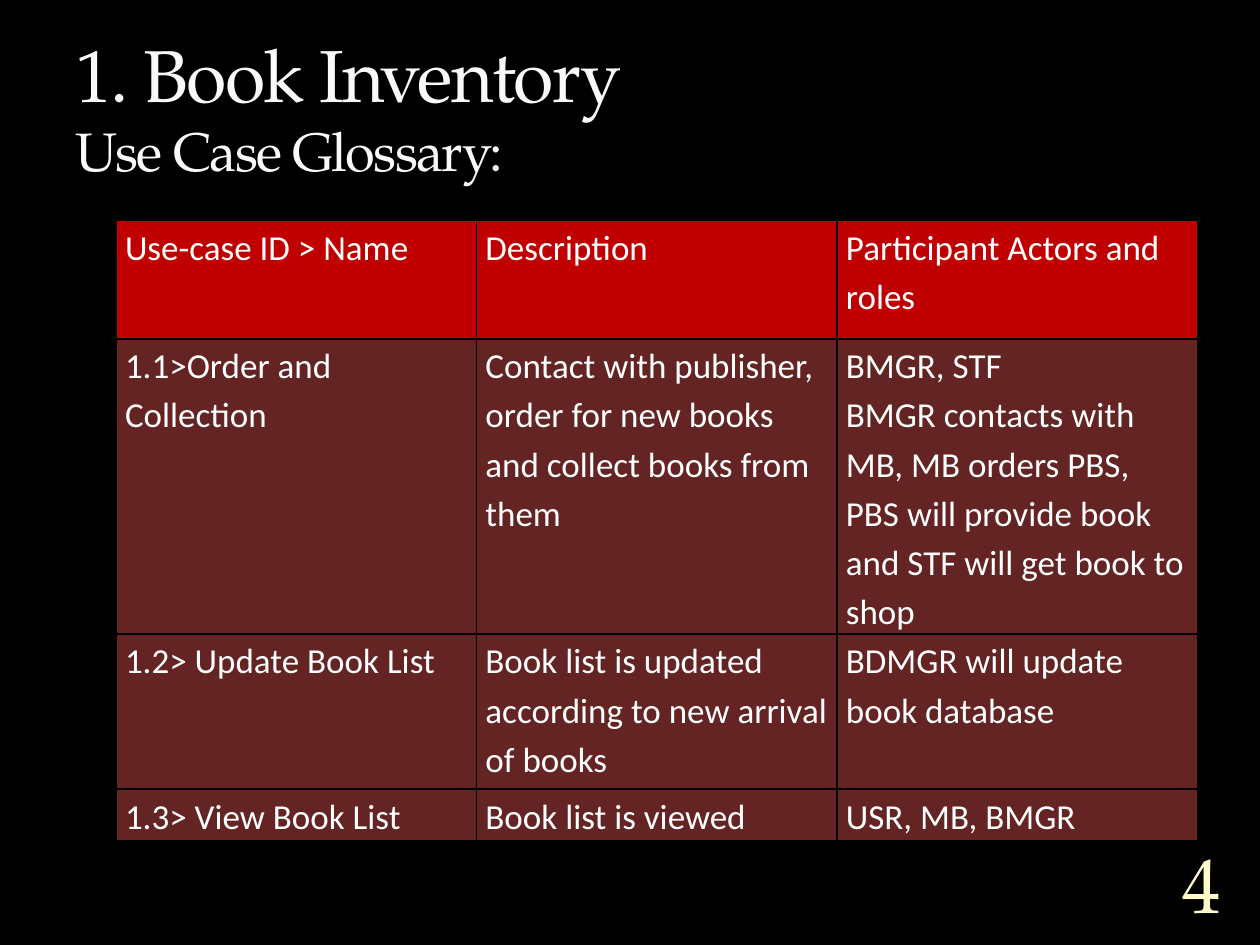
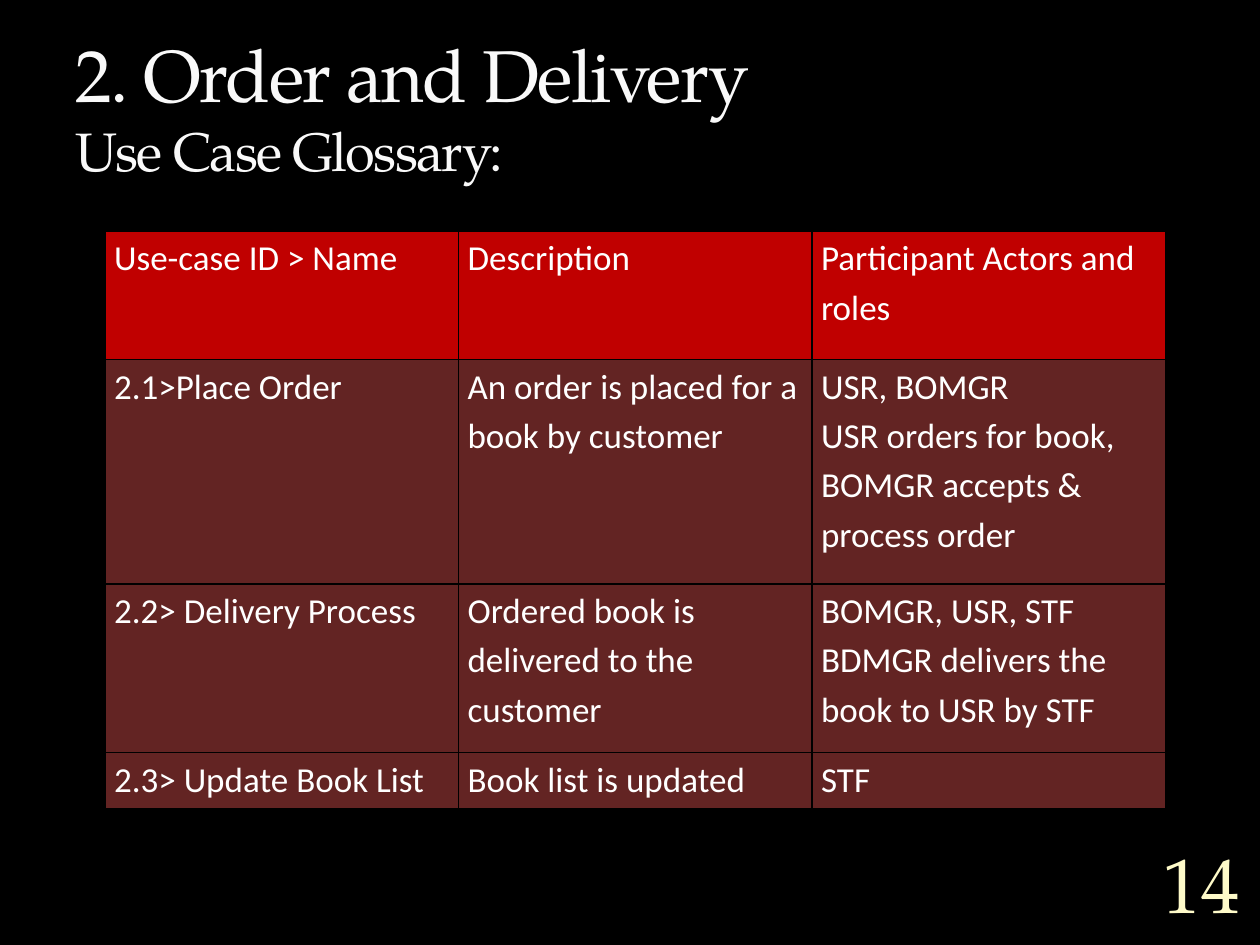
import pptx
import pptx.dml.color
import pptx.enum.text
import pptx.oxml.ns
import pptx.util
from lxml import etree

Cm = pptx.util.Cm
Pt = pptx.util.Pt
ALIGN = pptx.enum.text.PP_ALIGN
ANCHOR = pptx.enum.text.MSO_ANCHOR

BLACK, RED, MAROON = "000000", "C00000", "632423"
SERIF = "TeX Gyre Pagella"
HEAD = {"name": SERIF, "size": Pt(42), "color": "F9F9F9"}
SUB = {**HEAD, "size": Pt(31)}
PAGE = {"name": SERIF, "size": Pt(44), "color": "FEFAC9"}
BODY = {"name": "Calibri", "size": Pt(20), "color": "FFFFFF"}
PAD = {"margin_left": Cm(0.18), "margin_right": Cm(0.18),
       "margin_top": 0, "margin_bottom": 0}
FLUSH = dict.fromkeys(PAD, 0)

TITLE_BOX = (1.27, 0.42, 22.86, 3.38)
PAGE_BOX = (23.37, 17.17, 1.7, 1.27)
LABELS = ("Use-case ID > Name", "Description", "Participant Actors and roles")

SLIDES = [
    {"title": "1. Book Inventory", "page": "4",
     "box": (2.34, 4.45, 21.8), "heights": (2.38, 5.95, 3.13, 1.04),
     "cases": [
         ("1.1>Order and Collection",
          "Contact with publisher, order for new books and collect books from them",
          "BMGR, STF\nBMGR contacts with MB, MB orders PBS, "
          "PBS will provide book and STF will get book to shop"),
         ("1.2> Update Book List",
          "Book list is updated according to new arrival of books",
          "BDMGR will update book database"),
         ("1.3> View Book List", "Book list is viewed", "USR, MB, BMGR")]},
    {"title": "2. Order and Delivery", "page": "14",
     "box": (2.12, 4.66, 21.38), "heights": (2.59, 4.52, 3.4, 1.14),
     "cases": [
         ("2.1>Place Order", "An order is placed for a book by customer",
          "USR, BOMGR\nUSR orders for book, BOMGR accepts & process order"),
         ("2.2> Delivery Process", "Ordered book is delivered to the customer",
          "BOMGR, USR, STF\nBDMGR delivers the book to USR by STF"),
         ("2.3> Update Book List", "Book list is updated", "STF")]},
]


def paint(code):
    """Turn a hex string into a colour."""
    return pptx.dml.color.RGBColor.from_string(code)


def apply(item, form):
    """Set each format value on an item."""
    for key, value in form.items():
        if key == "color":
            item.color.rgb = paint(value)
        else:
            setattr(item, key, value)


def add_text(slide, box, form):
    """Add a text box and return its frame."""
    frame = slide.shapes.add_textbox(*map(Cm, box)).text_frame
    apply(frame, {"word_wrap": True, **form})
    return frame


def add_title(slide, box, title):
    """Place the heading with its smaller second line."""
    para = add_text(slide, box, {"vertical_anchor": ANCHOR.BOTTOM}).paragraphs[0]
    for text, form in ((title, HEAD), ("Use Case Glossary:", SUB)):
        if para.runs:
            para.add_line_break()
        run = para.add_run()
        run.text = text
        apply(run.font, form)
        run.font._element.set("spc", "-100")


def add_page(slide, box, number):
    """Place the page number."""
    frame = add_text(slide, box, {"vertical_anchor": ANCHOR.MIDDLE, **FLUSH})
    para = frame.paragraphs[0]
    para.alignment = ALIGN.CENTER
    run = para.add_run()
    run.text = number
    apply(run.font, PAGE)


def add_edges(cell):
    """Draw thin black lines round a cell."""
    qn = pptx.oxml.ns.qn
    props = cell._tc.get_or_add_tcPr()
    for side in "LRTB":
        line = etree.SubElement(props, qn("a:ln" + side), w=str(Pt(1)))
        fill = etree.SubElement(line, qn("a:solidFill"))
        etree.SubElement(fill, qn("a:srgbClr"), val=BLACK)


def fill_cell(cell, text, back):
    """Write and style one cell."""
    add_edges(cell)
    apply(cell, {"text": text, **PAD})
    cell.fill.solid()
    cell.fill.fore_color.rgb = paint(back)
    for para in cell.text_frame.paragraphs:
        para.line_spacing = 1.15
        for run in para.runs:
            apply(run.font, BODY)


def add_cases(slide, box, heights, cases):
    """Place the use case table with equal columns."""
    rows = [LABELS, *cases]
    left, top, width = box
    table = slide.shapes.add_table(
        len(rows), len(LABELS), Cm(left), Cm(top), Cm(width), Cm(sum(heights))).table
    apply(table, {"first_row": False, "horz_banding": False})
    for col in table.columns:
        col.width = Cm(width / len(LABELS))
    for r, (height, texts) in enumerate(zip(heights, rows)):
        table.rows[r].height = Cm(height)
        for c, text in enumerate(texts):
            fill_cell(table.cell(r, c), text, MAROON if r else RED)


def add_slide(deck, data):
    """Build one glossary slide."""
    slide = deck.slides.add_slide(deck.slide_layouts[6])
    slide.background.fill.solid()
    slide.background.fill.fore_color.rgb = paint(BLACK)
    add_title(slide, TITLE_BOX, data["title"])
    add_cases(slide, data["box"], data["heights"], data["cases"])
    add_page(slide, PAGE_BOX, data["page"])


def main():
    """Build and save the deck."""
    deck = pptx.Presentation()
    apply(deck, {"slide_width": Cm(25.4), "slide_height": Cm(19.05)})
    for data in SLIDES:
        add_slide(deck, data)
    deck.save("out.pptx")


if __name__ == "__main__":
    main()
